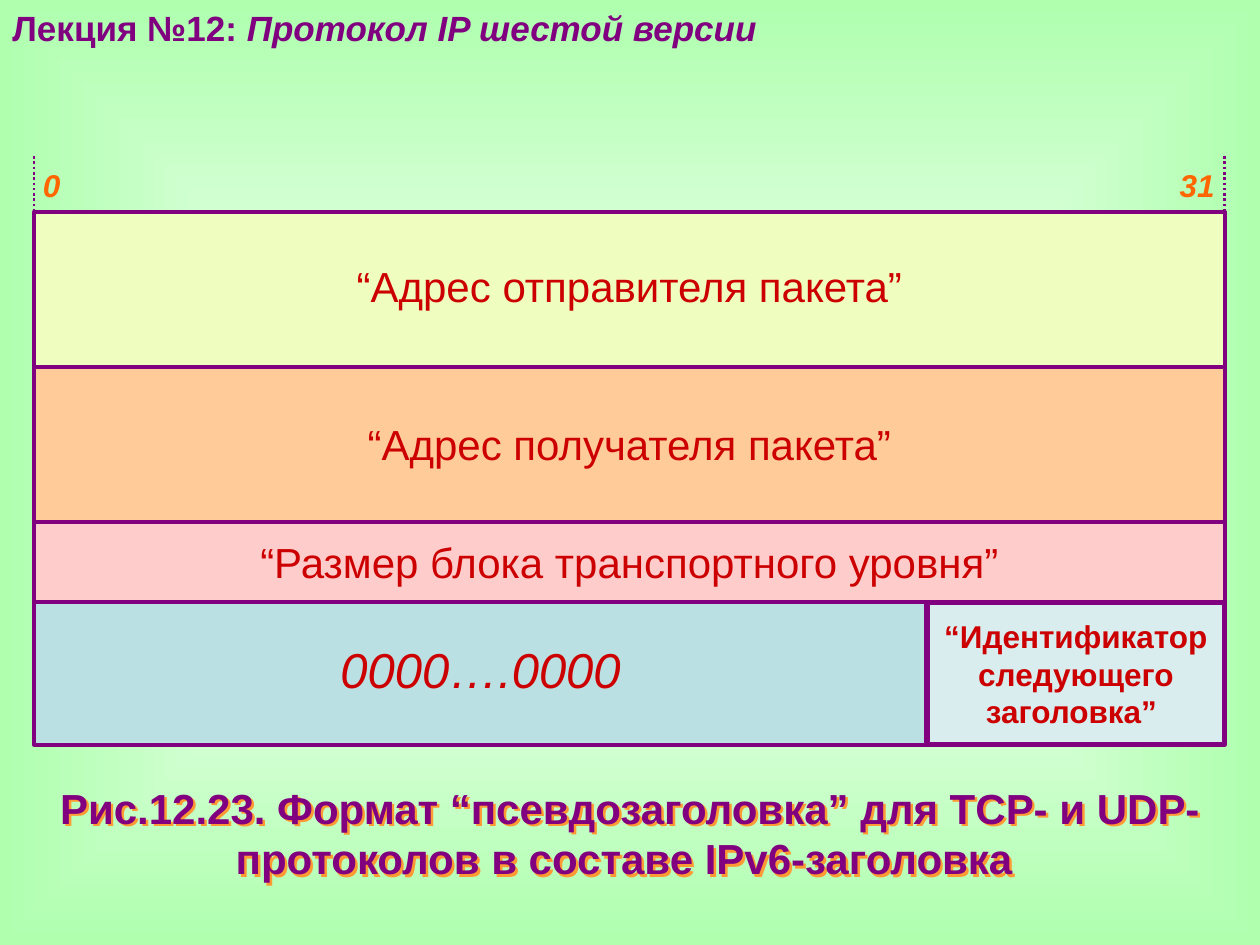
from lxml.etree import SubElement
from pptx import Presentation
from pptx.dml.color import RGBColor
from pptx.enum.dml import MSO_LINE
from pptx.enum.shapes import MSO_CONNECTOR, MSO_SHAPE
from pptx.enum.text import MSO_ANCHOR, MSO_AUTO_SIZE, PP_ALIGN
from pptx.oxml import parse_xml
from pptx.oxml.ns import nsdecls, qn
from pptx.util import Inches, Pt

COLORS = {
    "purple": "800080", "red": "CC0000", "orange": "FF6600",
    "yellow": "EFFEBE", "peach": "FFCC99", "pink": "FFCCCC",
    "blue": "BBE0E3", "pale_blue": "D9EDEF", "shadow": "FF9933",
    "white": "FFFFFF", "green": "AFFFAF",
}


def rgb(name):
    return RGBColor.from_string(COLORS[name])


def add_run(p, text, size, color, bold=False, italic=False):
    r = p.add_run()
    r.text = text
    r.font.name = "Arial"
    r.font.size = Pt(size)
    r.font.bold = bold
    r.font.italic = italic
    r.font.color.rgb = rgb(color)


prs = Presentation()
prs.slide_width = Inches(10)
prs.slide_height = Inches(7.5)
s = prs.slides.add_slide(prs.slide_layouts[6])

s._element.cSld.insert(0, parse_xml(
    f'<p:bg {nsdecls("p", "a")}><p:bgPr><a:gradFill rotWithShape="0"><a:gsLst>'
    f'<a:gs pos="0"><a:srgbClr val="{COLORS["white"]}"/></a:gs>'
    f'<a:gs pos="100000"><a:srgbClr val="{COLORS["green"]}"/></a:gs></a:gsLst>'
    '<a:path path="shape"><a:fillToRect l="50000" t="50000" r="50000" b="50000"/></a:path>'
    '</a:gradFill><a:effectLst/></p:bgPr></p:bg>'))

sp = s.shapes.add_textbox(Inches(0), Inches(0), Inches(6.38), Inches(0.43))
tf = sp.text_frame
tf.word_wrap = False
tf.auto_size = MSO_AUTO_SIZE.SHAPE_TO_FIT_TEXT
p = tf.paragraphs[0]
add_run(p, "Лекция №12: ", 20, "purple", bold=True)
add_run(p, "Протокол IP шестой версии", 20, "purple", bold=True, italic=True)

sp = s.shapes.add_textbox(Inches(0), Inches(6.16), Inches(10), Inches(0.9))
sp.fill.background()
effects = SubElement(sp._element.spPr, qn("a:effectLst"))
shadow = SubElement(effects, qn("a:outerShdw"), dist="25400", dir="2700000", algn="ctr", rotWithShape="0")
SubElement(shadow, qn("a:srgbClr"), val=COLORS["shadow"])
tf = sp.text_frame
tf.word_wrap = True
tf.auto_size = MSO_AUTO_SIZE.SHAPE_TO_FIT_TEXT
p = tf.paragraphs[0]
p.alignment = PP_ALIGN.CENTER
add_run(p, "Рис.12.23. Формат “псевдозаголовка” для ТСР- и UDP-протоколов в составе IPv6-заголовка ",
        24, "purple", bold=True)

left, width = 0.27, 9.45
for x in (left, left + width):
    line = s.shapes.add_connector(MSO_CONNECTOR.STRAIGHT, Inches(x), Inches(1.24), Inches(x), Inches(1.83))
    line.line.color.rgb = rgb("purple")
    line.line.width = Pt(1.5)
    line.line.dash_style = MSO_LINE.ROUND_DOT
    SubElement(line._element.spPr, qn("a:effectLst"))

sp = s.shapes.add_textbox(Inches(left), Inches(1.26), Inches(width), Inches(0.42))
tf = sp.text_frame
tf.word_wrap = True
tf.vertical_anchor = MSO_ANCHOR.MIDDLE
tf.margin_left = Inches(0.07)
tf.margin_top = tf.margin_right = tf.margin_bottom = 0
p = tf.paragraphs[0]
tabs = SubElement(p._p.get_or_add_pPr(), qn("a:tabLst"))
SubElement(tabs, qn("a:tab"), pos=str(Inches(9.3)), algn="r")
add_run(p, "0\t31", 18, "orange", bold=True, italic=True)

id_width = width / 4
zero_width = width - id_width
fields = [
    (left, 4.14, width, 0.64, "pink", 2.25, ["“Размер блока транспортного уровня”"], 24, False, False, 1),
    (left, 4.78, zero_width, 1.13, "blue", 2.25, ["0000….0000"], 28, False, True, 0.85),
    (left + zero_width, 4.78, id_width, 1.13, "pale_blue", 3,
     ["“Идентификатор", "следующего заголовка” "], 18, True, False, 1),
    (left, 2.91, width, 1.23, "peach", 2.25, ["“Адрес получателя пакета”"], 24, False, False, 1),
    (left, 1.68, width, 1.23, "yellow", 2.25, ["“Адрес отправителя пакета”"], 24, False, False, 0.9),
]
for x, y, w, h, fill, border, lines, size, bold, italic, spacing in fields:
    sp = s.shapes.add_shape(MSO_SHAPE.RECTANGLE, Inches(x), Inches(y), Inches(w), Inches(h))
    sp.shadow.inherit = False
    sp.fill.solid()
    sp.fill.fore_color.rgb = rgb(fill)
    sp.line.color.rgb = rgb("purple")
    sp.line.width = Pt(border)
    tf = sp.text_frame
    tf.word_wrap = True
    tf.vertical_anchor = MSO_ANCHOR.MIDDLE
    tf.margin_left = tf.margin_top = tf.margin_right = tf.margin_bottom = 0
    for i, text in enumerate(lines):
        p = tf.add_paragraph() if i else tf.paragraphs[0]
        p.alignment = PP_ALIGN.CENTER
        p.line_spacing = float(spacing)
        add_run(p, text, size, "red", bold, italic)

prs.save("out.pptx")
